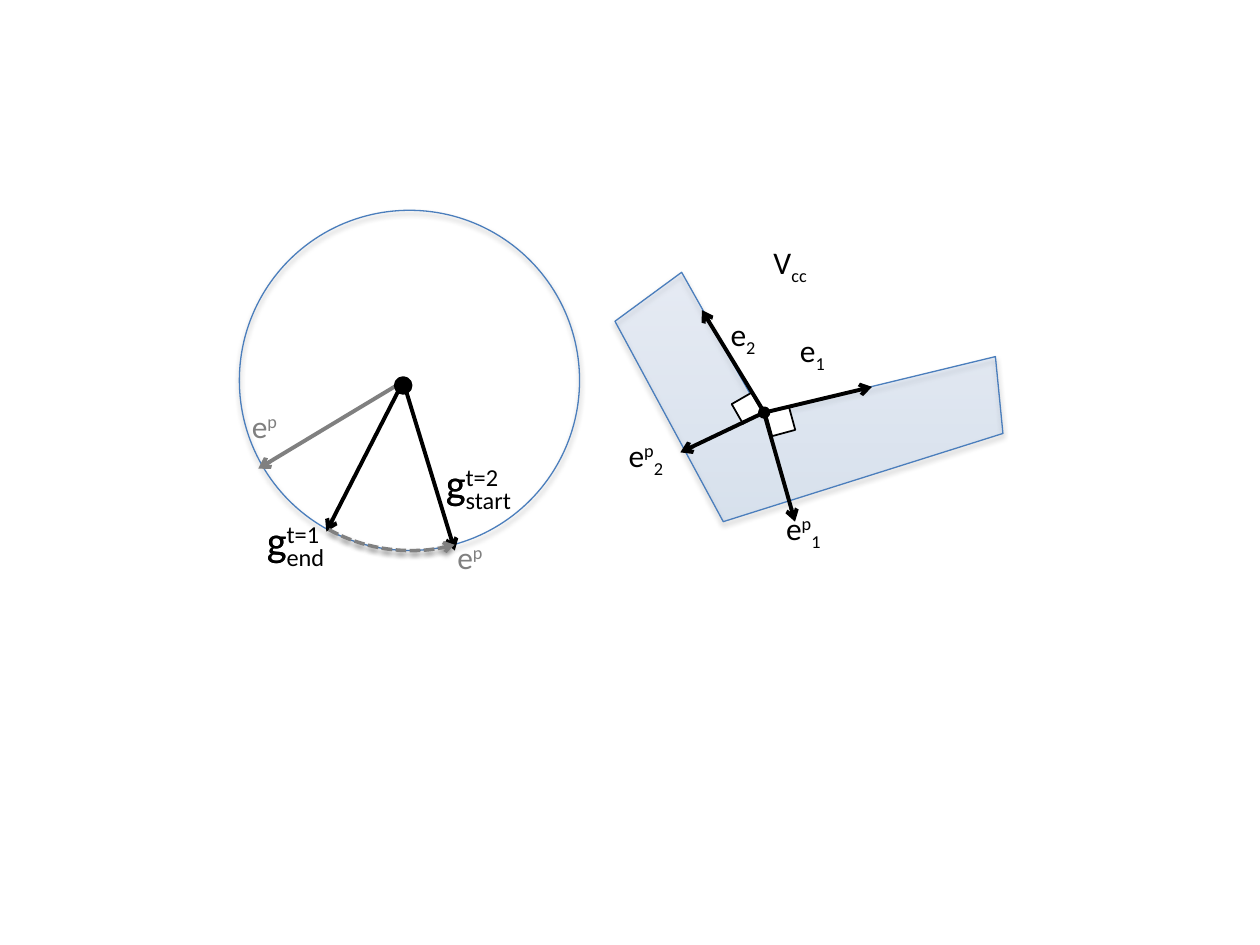
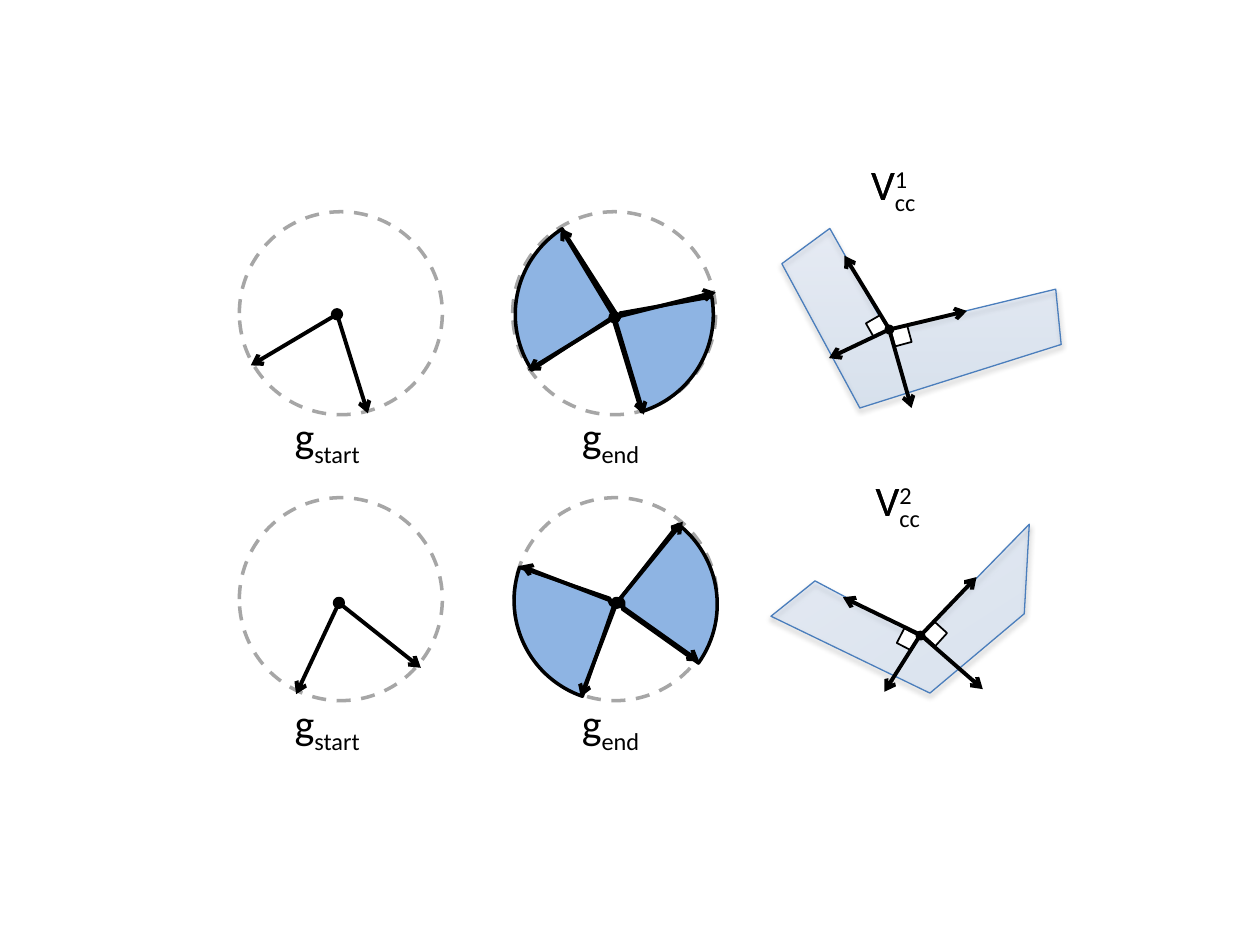
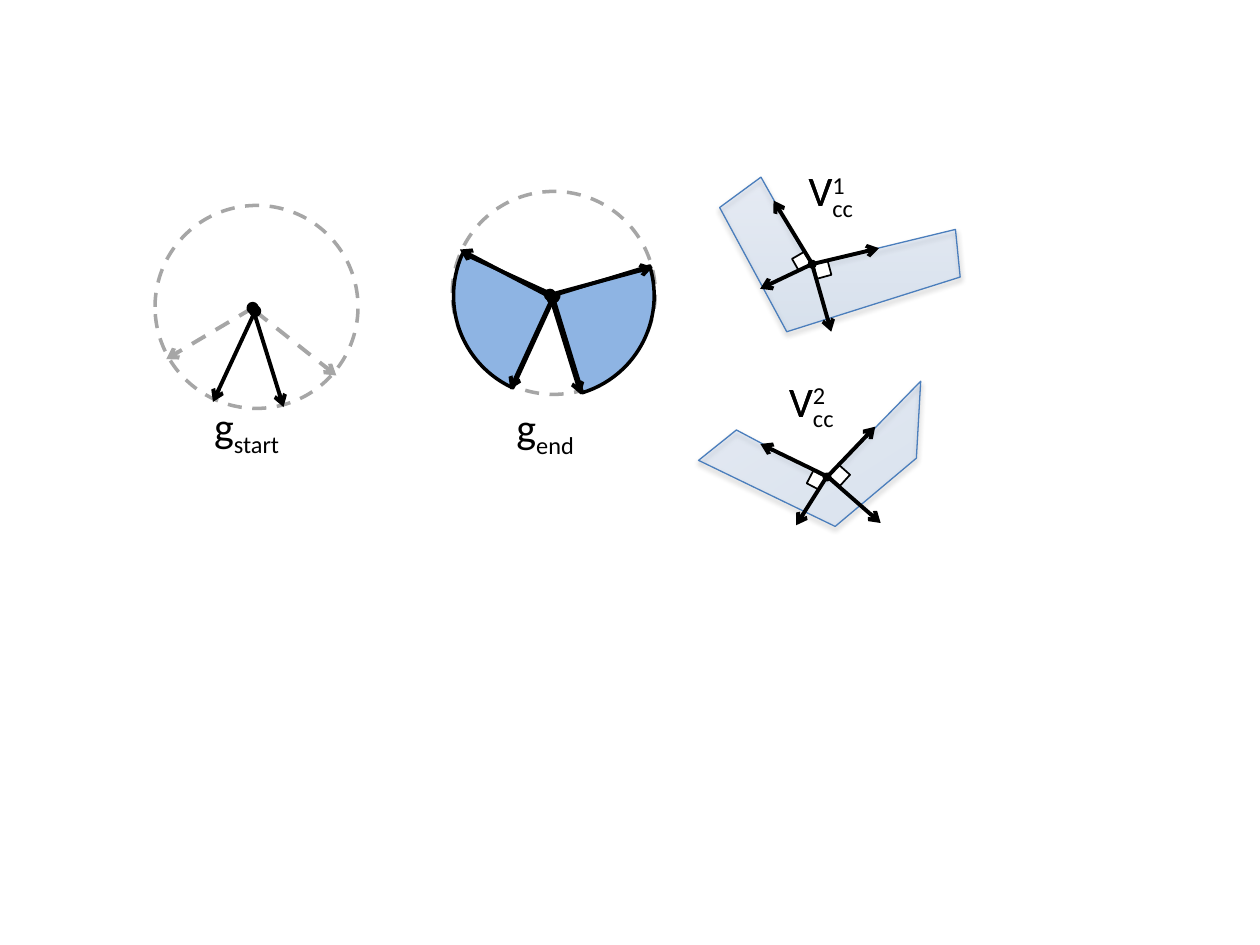
from dataclasses import dataclass
from typing import NamedTuple, Optional

from lxml import etree
from pptx import Presentation
from pptx.dml.color import RGBColor
from pptx.enum.dml import MSO_LINE
from pptx.enum.shapes import MSO_CONNECTOR, MSO_SHAPE
from pptx.enum.text import MSO_AUTO_SIZE
from pptx.oxml.ns import qn
from pptx.slide import Slide
from pptx.util import Pt

ARC, BLOCK_ARC = MSO_SHAPE.ARC, MSO_SHAPE.BLOCK_ARC
OVAL, RECTANGLE = MSO_SHAPE.OVAL, MSO_SHAPE.RECTANGLE
STRAIGHT = MSO_CONNECTOR.STRAIGHT
DASH, SHORT_DASH = MSO_LINE.DASH, MSO_LINE.SQUARE_DOT
GROW = MSO_AUTO_SIZE.SHAPE_TO_FIT_TEXT
SUB, SUP = -25000, 30000

Point = tuple[float, float]
Runs = list[tuple[str, int]]


@dataclass(frozen=True)
class Theme:
    font: str = "Calibri"
    black: str = "000000"
    white: str = "FFFFFF"
    gray: str = "808080"
    rim: str = "A6A6A6"
    sector: str = "8EB4E3"
    edge: str = "4B7EBC"
    body_low: str = "3F80CE"
    body_high: str = "A4C4FF"
    small: float = 18
    large: float = 24
    thin: float = 0.75
    fine: float = 1
    medium: float = 2
    arrow: float = 2.25


THEME = Theme()


class Box(NamedTuple):
    left: float
    top: float
    width: float
    height: float


class Corner(NamedTuple):
    left: float
    top: float
    size: float
    turn: float


class Sector(NamedTuple):
    left: float
    top: float
    turn: float
    begin: float
    end: float
    thickness: float


class Spoke(NamedTuple):
    tip: Point
    faded: bool = False


class Hub(NamedTuple):
    center: Point
    spokes: list[Spoke]


@dataclass(frozen=True)
class Dial:
    left: float
    top: float
    caption: str
    caption_box: Box
    hubs: list[Hub]
    sectors: tuple[Sector, ...] = ()


@dataclass(frozen=True)
class Joint:
    outline: list[Point]
    turn: float
    vectors: list[tuple[Point, Point]]
    corners: list[Corner]
    dot: Box


WIDE_JOINT = Joint(
    outline=[(0, 0), (133.9, -32.4), (138.2, 11.5), (-21.6, 61.9), (-83.5, -52.6), (-45.4, -80.6)],
    turn=0,
    vectors=[
        ((2.2, 0), (-33.8, -59)),
        ((0, 0), (63.4, -15.1)),
        ((2.2, 1.4), (19.4, 61.9)),
        ((2.2, -0.7), (-46.1, 22.3)),
    ],
    corners=[Corner(4.3, -2.2, 13.7, 344.8), Corner(-14.4, -9.4, 13, 330.1)],
    dot=Box(-0.7, -2.9, 5, 5),
)
FOLDED_JOINT = Joint(
    outline=[(-9.5, -3.6), (77.8, -23.7), (47.8, 17.8), (-22.1, 26.8), (-74.8, -59.2), (-42.7, -62.6)],
    turn=327.3,
    vectors=[
        ((0.7, -0.7), (-43.9, -22.3)),
        ((0, 0), (32.4, -33.8)),
        ((1.4, 0), (36, 30.2)),
        ((0.7, -1.4), (-20.2, 31.7)),
    ],
    corners=[Corner(3.6, -6.5, 10, 312.1), Corner(-11.5, -2.9, 9.4, 297.4)],
    dot=Box(-1.4, -2.2, 3.6, 3.6),
)
DIAL_SIZE = 116
HUB_SIZE = 5

PAIR_DIALS = [
    Dial(136.8, 121, "start", Box(161.3, 231.1, 69.8, 36),
         [Hub((192.6, 179.6), [Spoke((210.2, 236.2)), Spoke((143.3, 208.8))])]),
    Dial(293, 121, "end", Box(325.4, 231.1, 69.8, 36),
         [Hub((351.2, 181.4), [Spoke((320.4, 130.3)), Spoke((409, 167)),
                               Spoke((367.9, 236.9)), Spoke((301.7, 211.7))])],
         (Sector(294.5, 121.7, 0, 88.08, 142.45, 0.49),
          Sector(291.6, 121.7, 200.1, 89.89, 139.78, 0.46))),
    Dial(136.8, 284.4, "start", Box(161.3, 395.3, 69.8, 36),
         [Hub((193.7, 344.5), [Spoke((240.5, 381.6)), Spoke((169.2, 396.7))])]),
    Dial(293.8, 284.4, "end", Box(325.4, 395.3, 69.8, 36),
         [Hub((352.4, 344.5), [Spoke((297.4, 323.3)), Spoke((390.2, 298.1)),
                               Spoke((399.6, 378)), Spoke((331.9, 398.2))])],
         (Sector(293.8, 287.3, 162.4, 87.38, 139.78, 0.46),
          Sector(293.8, 285.1, 322.3, 88.09, 142.05, 0.47))),
]
MERGED_DIALS = [
    Dial(88.6, 117.4, "start", Box(115.2, 225.4, 143.3, 36),
         [Hub((144.4, 176), [Spoke((162, 232.6)), Spoke((95, 205.2), True)]),
          Hub((145.8, 177.8), [Spoke((192.2, 214.6), True), Spoke((121.7, 229.7))])]),
    Dial(258.5, 109.4, "end", Box(288, 226.1, 143.3, 36),
         [Hub((314.3, 168.5), [Spoke((331.9, 225.4)), Spoke((373, 152.6))]),
          Hub((315.7, 170.3), [Spoke((291.6, 222.5)), Spoke((262.8, 142.6))])],
         (Sector(257.8, 110.9, 196.2, 88.09, 142.05, 0.47),
          Sector(259.2, 110.9, 327.8, 88.09, 142.05, 0.47))),
]


def color(value: str) -> RGBColor:
    return RGBColor.from_string(value)


def format_line(line, shade: str, width: float, dash=None, arrow: bool = False) -> None:
    line.color.rgb = color(shade)
    line.width = Pt(width)
    if dash is not None:
        line.dash_style = dash
    if arrow:
        etree.SubElement(line._get_or_add_ln(), qn("a:tailEnd"), type="arrow")


def cast_shadow(shape, opacity: int = 35, distance: float = 1.8) -> None:
    effects = shape._element.spPr.find(qn("a:effectLst"))
    shadow = etree.SubElement(
        effects, qn("a:outerShdw"), blurRad=str(Pt(3.1)), dist=str(Pt(distance)),
        dir="5400000", rotWithShape="0",
    )
    shade = etree.SubElement(shadow, qn("a:srgbClr"), val=THEME.black)
    etree.SubElement(shade, qn("a:alpha"), val=str(opacity * 1000))


def draw_shape(slide: Slide, kind, box: Box, *, fill: Optional[str] = None,
               edge: str = THEME.black, width: float = THEME.medium, dash=None,
               turn: float = 0, adjustments: tuple[float, ...] = (), arrow: bool = False):
    shape = slide.shapes.add_shape(kind, *(Pt(length) for length in box))
    shape.shadow.inherit = False
    shape.rotation = turn
    for index, value in enumerate(adjustments):
        shape.adjustments[index] = value
    if fill:
        shape.fill.solid()
        shape.fill.fore_color.rgb = color(fill)
    else:
        shape.fill.background()
    format_line(shape.line, edge, width, dash, arrow)
    return shape


def draw_arrow(slide: Slide, start: Point, tip: Point, shade: str = THEME.black, dash=None) -> None:
    connector = slide.shapes.add_connector(STRAIGHT, *(Pt(value) for value in (*start, *tip)))
    format_line(connector.line, shade, THEME.arrow, dash, arrow=True)
    etree.SubElement(connector._element.spPr, qn("a:effectLst"))


def draw_dot(slide: Slide, center: Point, size: float) -> None:
    box = Box(center[0] - size / 2, center[1] - size / 2, size, size)
    draw_shape(slide, OVAL, box, fill=THEME.black)


def write(slide: Slide, box: Box, runs: Runs, *, size: float = THEME.large,
          shade: str = THEME.black) -> None:
    frame = slide.shapes.add_textbox(*(Pt(length) for length in box)).text_frame
    frame.word_wrap = True
    frame.auto_size = GROW
    for text, baseline in runs:
        run = frame.paragraphs[0].add_run()
        run.text = text
        run.font.name = THEME.font
        run.font.size = Pt(size)
        run.font.color.rgb = color(shade)
        if baseline:
            run.font._element.set("baseline", str(baseline))


def write_stacked(slide: Slide, box: Box, symbol: str, lower: str, upper: str) -> None:
    write(slide, box, [(symbol, 0), (lower, SUB)])
    write(slide, box, [(symbol, 0), (upper, SUP)])


def draw_joint(slide: Slide, joint: Joint, vertex: Point, scale: float = 1) -> None:
    def place(point: Point) -> Point:
        return vertex[0] + point[0] * scale, vertex[1] + point[1] * scale

    def square(left: float, top: float, size: float) -> Box:
        return Box(*place((left, top)), size * scale, size * scale)

    first, *others = [tuple(Pt(value) for value in place(point)) for point in joint.outline]
    builder = slide.shapes.build_freeform(*first)
    builder.add_line_segments(others, close=True)
    body = builder.convert_to_shape()
    body.rotation = joint.turn
    body.shadow.inherit = False
    body.fill.gradient()
    body.fill.gradient_angle = 90
    for stop, shade, position in zip(body.fill.gradient_stops, (THEME.body_low, THEME.body_high), (0, 1)):
        stop.color.rgb = color(shade)
        stop.position = position
    for shade in list(body._element.spPr.iter(qn("a:srgbClr"))):
        etree.SubElement(shade, qn("a:alpha"), val="15000")
    format_line(body.line, THEME.edge, THEME.thin)
    cast_shadow(body)

    for corner in joint.corners:
        draw_shape(slide, RECTANGLE, square(corner.left, corner.top, corner.size),
                   fill=THEME.white, width=THEME.fine, turn=corner.turn)
    dot = joint.dot
    draw_shape(slide, OVAL, square(dot.left, dot.top, dot.width), fill=THEME.black, turn=joint.turn)
    for start, tip in joint.vectors:
        draw_arrow(slide, place(start), place(tip))


def draw_dial(slide: Slide, dial: Dial) -> None:
    draw_shape(slide, OVAL, Box(dial.left, dial.top, DIAL_SIZE, DIAL_SIZE),
               fill=THEME.white, edge=THEME.rim, dash=DASH)
    for sector in dial.sectors:
        draw_shape(slide, BLOCK_ARC, Box(sector.left, sector.top, DIAL_SIZE, DIAL_SIZE),
                   fill=THEME.sector, turn=sector.turn,
                   adjustments=(sector.begin, sector.end, sector.thickness))
    for hub in dial.hubs:
        for spoke in hub.spokes:
            if spoke.faded:
                draw_arrow(slide, hub.center, spoke.tip, THEME.rim, DASH)
            else:
                draw_arrow(slide, hub.center, spoke.tip)
        draw_dot(slide, hub.center, HUB_SIZE)
    write(slide, dial.caption_box, [("g", 0), (dial.caption, SUB)])


def build_definitions(slide: Slide) -> None:
    draw_joint(slide, WIDE_JOINT, (434.9, 236.2))
    vector_labels: list[tuple[Box, Runs]] = [
        (Box(450, 185.8, 43.2, 40.3), [("e", 0), ("1", SUB)]),
        (Box(410.4, 176.4, 40.3, 40.3), [("e", 0), ("2", SUB)]),
        (Box(434.9, 135.4, 56.9, 40.3), [("V", 0), ("cc", SUB)]),
        (Box(442.1, 287.3, 54.7, 40.3), [("e", 0), ("p", SUP), ("1", SUB)]),
        (Box(352.1, 245.5, 54.7, 40.3), [("e", 0), ("p", SUP), ("2", SUB)]),
    ]
    for box, runs in vector_labels:
        write(slide, box, runs, size=THEME.small)

    circle = draw_shape(slide, OVAL, Box(136.8, 120.2, 194.4, 194.4), edge=THEME.edge, width=THEME.thin)
    cast_shadow(circle)
    center = (230.4, 218)
    draw_arrow(slide, center, (259.9, 314.6))
    draw_arrow(slide, center, (147.6, 267.8), THEME.gray)
    for left, top in ((254.2, 303.8), (136.8, 229)):
        write(slide, Box(left, top, 66.2, 28.8), [("e", 0), ("p", SUP)],
              size=THEME.small, shade=THEME.gray)
    draw_dot(slide, (230.4, 220.3), 8.6)
    write_stacked(slide, Box(247.7, 257.8, 117.4, 61.2), "g", "start", "t=2")
    write_stacked(slide, Box(145.4, 290.2, 69.8, 36), "g", "end", "t=1")
    draw_arrow(slide, center, (186.5, 303.8))
    sweep = draw_shape(slide, ARC, Box(137.5, 120.2, 194.4, 194.4), edge=THEME.gray,
                       dash=SHORT_DASH, turn=180, adjustments=(144.73, 170.98), arrow=True)
    sweep._element.spPr.get_or_add_xfrm().set("flipH", "1")
    cast_shadow(sweep, opacity=38, distance=1.6)


def build_pairs(slide: Slide) -> None:
    for dial in PAIR_DIALS:
        draw_dial(slide, dial)
    draw_joint(slide, WIDE_JOINT, (506.9, 188.6), 0.72)
    draw_joint(slide, FOLDED_JOINT, (525.6, 363.6))
    write_stacked(slide, Box(490.7, 87.1, 61.2, 36), "V", "cc", "1")
    write_stacked(slide, Box(493.2, 267.8, 61.2, 36), "V", "cc", "2")


def build_merged(slide: Slide) -> None:
    for dial in MERGED_DIALS:
        draw_dial(slide, dial)
    draw_joint(slide, WIDE_JOINT, (463, 151.2), 0.62)
    draw_joint(slide, FOLDED_JOINT, (472.3, 272.9), 0.86)
    write_stacked(slide, Box(455, 90.7, 51.8, 31), "V", "cc", "1")
    write_stacked(slide, Box(443.9, 211, 52.6, 31.7), "V", "cc", "2")


def main() -> None:
    deck = Presentation()
    deck.slide_width, deck.slide_height = Pt(720), Pt(540)
    blank = deck.slide_layouts[6]
    for build in (build_definitions, build_pairs, build_merged):
        build(deck.slides.add_slide(blank))
    deck.save("out.pptx")


if __name__ == "__main__":
    main()
